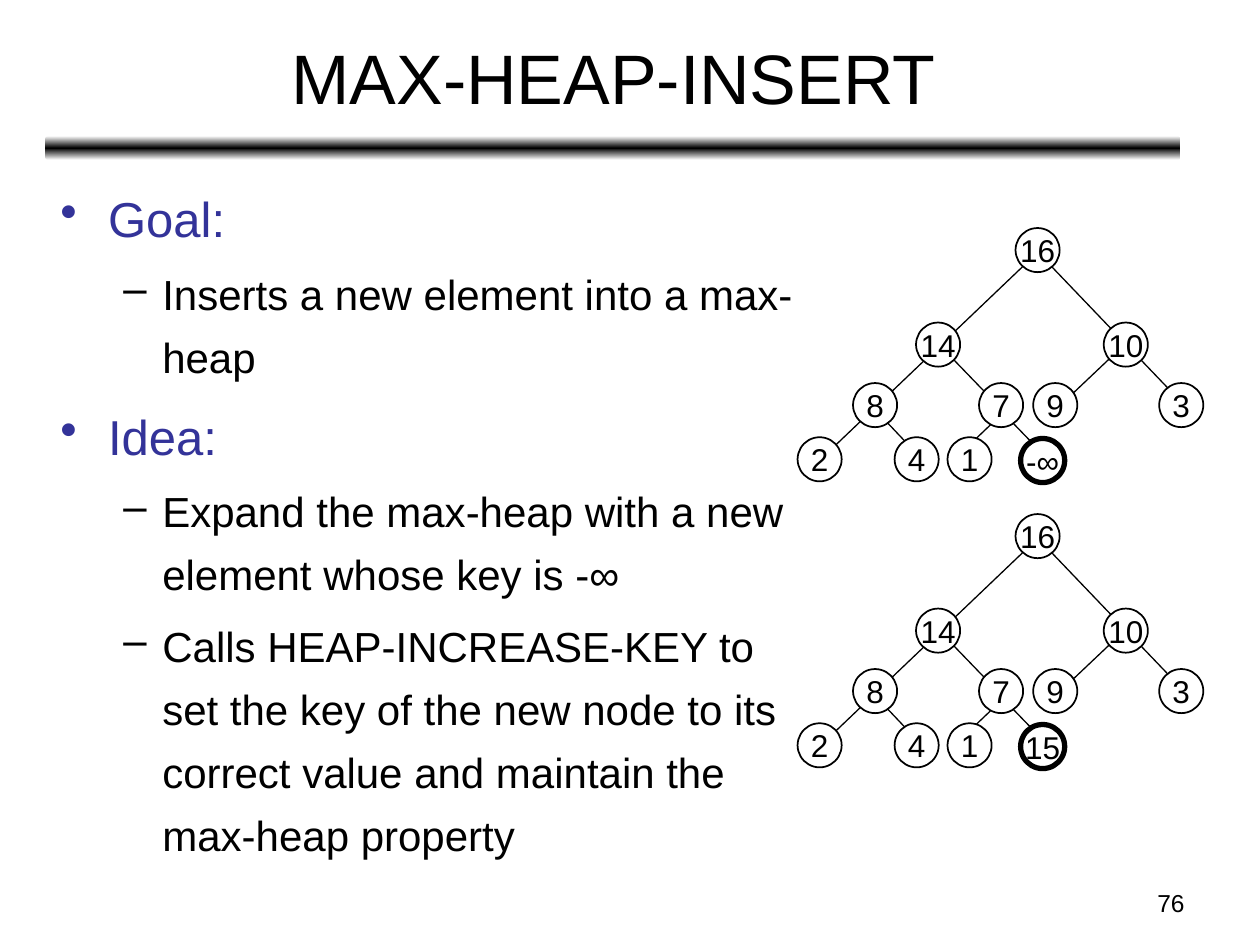
from copy import deepcopy
from dataclasses import dataclass

from lxml.etree import SubElement
from pptx import Presentation
from pptx.dml.color import RGBColor
from pptx.enum.shapes import MSO_CONNECTOR, MSO_SHAPE
from pptx.enum.text import MSO_ANCHOR, PP_ALIGN
from pptx.oxml.ns import qn
from pptx.util import Emu, Inches, Pt

CELL = 0.1  # inches; the slide is a grid of 100 columns by 75 rows


@dataclass(frozen=True)
class Theme:
    font: str = "Arial"
    ink: RGBColor = RGBColor(0, 0, 0)
    paper: RGBColor = RGBColor(255, 255, 255)
    accent: RGBColor = RGBColor(0x33, 0x33, 0x99)
    title: float = 40
    heading: float = 28
    detail: float = 24
    key: float = 18
    number: float = 14
    edge: float = 0.75
    outline: float = 1
    new_outline: float = 3


@dataclass(frozen=True)
class Level:
    bullet: str
    indent: float
    hanging: float
    size: float
    color: RGBColor


@dataclass(frozen=True)
class Node:
    key: str
    col: float
    depth: int


@dataclass(frozen=True)
class Edge:
    """A line from a lower node up to an ancestor, rows counted from the tree's top."""
    col: float
    row: float
    end_col: float
    end_row: float


THEME = Theme()
HEADING = Level("•", 3.8, 3.8, THEME.heading, THEME.accent)
DETAIL = Level("–", 8.1, 3.1, THEME.detail, THEME.ink)

OUTLINE = (
    (HEADING, "Goal:"),
    (DETAIL, "Inserts a new element into a max-heap"),
    (HEADING, "Idea:"),
    (DETAIL, "Expand the max-heap with a new element whose key is -∞"),
    (DETAIL, "Calls HEAP-INCREASE-KEY to set the key of the new node to its "
             "correct value and maintain the max-heap property"),
)

NODE_SIZE = 3.5
DEPTH_ROWS = (0, 7.5, 12.3, 16.6)
NODES = (
    Node("16", 80.6, 0),
    Node("14", 72.7, 1), Node("10", 87.6, 1),
    Node("8", 67.7, 2), Node("7", 77.7, 2), Node("9", 82, 2), Node("3", 92, 2),
    Node("2", 63.3, 3), Node("4", 71, 3), Node("1", 75.2, 3),
)
NEW_NODE_COL = 81
EDGES = (
    Edge(83.7, 18.9, 78.3, 13.3),
    Edge(75.7, 18.4, 80.2, 14.1),
    Edge(83.8, 14.4, 89.4, 9.1),
    Edge(73.6, 18.8, 68.3, 13.2),
    Edge(79.6, 14.5, 74.2, 8.9),
    Edge(94.7, 14.8, 81.3, 0.8),
    Edge(65.2, 18.3, 82.7, 1.6),
)
HEAPS = ((18.1, "-∞"), (40.8, "15"))  # top row of the tree, key of the new node


def cells(count: float) -> Emu:
    return Inches(count * CELL)


def add_run(paragraph, text: str, size: float, color: RGBColor = THEME.ink) -> None:
    run = paragraph.add_run()
    run.text = text
    run.font.name = THEME.font
    run.font.size = Pt(size)
    run.font.color.rgb = color


def add_text_frame(slide, col: float, row: float, width: float, height: float):
    box = slide.shapes.add_textbox(cells(col), cells(row), cells(width), cells(height))
    box.text_frame.word_wrap = True
    return box.text_frame


def add_title(slide, text: str) -> None:
    frame = add_text_frame(slide, 3.7, 1.1, 90, 9.9)
    frame.vertical_anchor = MSO_ANCHOR.MIDDLE
    frame.paragraphs[0].alignment = PP_ALIGN.CENTER
    add_run(frame.paragraphs[0], text, THEME.title)


def add_page_number(slide, text: str) -> None:
    paragraph = add_text_frame(slide, 71.7, 70, 23.3, 3.5).paragraphs[0]
    paragraph.alignment = PP_ALIGN.RIGHT
    add_run(paragraph, text, THEME.number)


def add_title_rule(slide) -> None:
    """Draw the bar below the title, fading from its dark middle to both edges."""
    bar = slide.shapes.add_shape(
        MSO_SHAPE.ROUNDED_RECTANGLE, cells(3.6), cells(10.8), cells(90.1), cells(1.9))
    bar.shadow.inherit = False
    bar.line.fill.background()
    bar.fill.gradient()
    bar.fill.gradient_angle = 90
    first = bar.fill.gradient_stops[0]
    first.color.rgb = THEME.paper
    stop_list = bar.fill._fill._gradFill.find(qn("a:gsLst"))
    stop_list.remove(stop_list[-1])
    for _ in range(2):
        stop_list.append(deepcopy(stop_list[0]))
    for stop, position in zip(bar.fill.gradient_stops, (0, 0.5, 1)):
        stop.position = position
    bar.fill.gradient_stops[1].color.rgb = THEME.ink


def add_outline(slide) -> None:
    frame = add_text_frame(slide, 3.8, 13.3, 61.2, 58.4)
    for index, (level, text) in enumerate(OUTLINE):
        paragraph = frame.add_paragraph() if index else frame.paragraphs[0]
        properties = paragraph._p.get_or_add_pPr()
        properties.set("marL", str(cells(level.indent)))
        properties.set("indent", str(-cells(level.hanging)))
        SubElement(properties, qn("a:buChar"), char=level.bullet)
        paragraph.line_spacing = 1.25
        paragraph.space_before = Pt(0.2 * level.size if index else 0)
        add_run(paragraph, text, level.size, level.color)


def add_edge(slide, edge: Edge, top: float) -> None:
    line = slide.shapes.add_connector(
        MSO_CONNECTOR.STRAIGHT, cells(edge.col), cells(top + edge.row),
        cells(edge.end_col), cells(top + edge.end_row))
    line.line.color.rgb = THEME.ink
    line.line.width = Pt(THEME.edge)
    SubElement(line._element.spPr, qn("a:effectLst"))


def add_node(slide, node: Node, top: float, outline: float = THEME.outline) -> None:
    circle = slide.shapes.add_shape(
        MSO_SHAPE.OVAL, cells(node.col), cells(top + DEPTH_ROWS[node.depth]),
        cells(NODE_SIZE), cells(NODE_SIZE))
    circle.shadow.inherit = False
    circle.fill.solid()
    circle.fill.fore_color.rgb = THEME.paper
    circle.line.color.rgb = THEME.ink
    circle.line.width = Pt(outline)
    frame = circle.text_frame
    frame.word_wrap = False
    frame.vertical_anchor = MSO_ANCHOR.MIDDLE
    frame.paragraphs[0].alignment = PP_ALIGN.CENTER
    add_run(frame.paragraphs[0], node.key, THEME.key)


def add_heap(slide, top: float, new_key: str) -> None:
    for edge in EDGES:
        add_edge(slide, edge, top)
    for node in NODES:
        add_node(slide, node, top)
    add_node(slide, Node(new_key, NEW_NODE_COL, 3), top + 0.1, THEME.new_outline)


def main() -> None:
    deck = Presentation()
    deck.slide_width, deck.slide_height = cells(100), cells(75)
    slide = deck.slides.add_slide(deck.slide_layouts[6])
    add_title_rule(slide)
    add_page_number(slide, "76")
    add_title(slide, "MAX-HEAP-INSERT")
    add_outline(slide)
    for top, new_key in HEAPS:
        add_heap(slide, top, new_key)
    deck.save("out.pptx")


if __name__ == "__main__":
    main()
